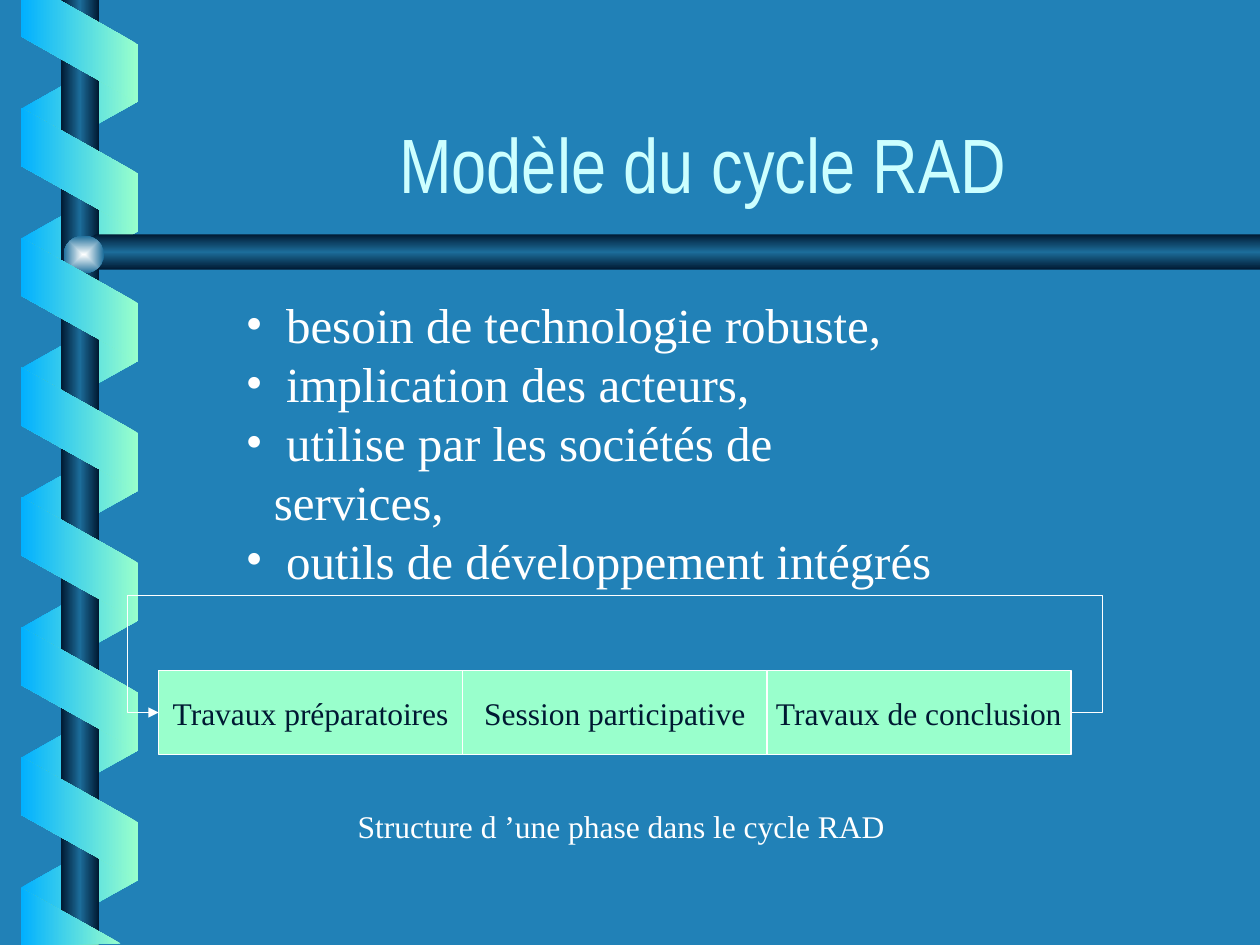
from typing import NamedTuple

from pptx import Presentation
from pptx.dml.color import RGBColor
from pptx.enum.shapes import MSO_SHAPE
from pptx.enum.text import MSO_ANCHOR, MSO_AUTO_SIZE, PP_ALIGN
from pptx.oxml import parse_xml
from pptx.oxml.ns import nsdecls, qn
from pptx.util import Inches, Pt

COLORS = {
    "background": "2181B7",
    "title": "CCFFFF",
    "text": "FFFFFF",
    "dark": "001932",
    "mint": "99FFCC",
    "azure": "01B0FF",
    "steel": "1C6D9A",
    "glow": "FEFFFF",
}
RIBBON = [(0, "mint"), (100, "azure")]
RIBBON_BACK = [(0, "azure"), (100, "mint")]
TUBE = [(0, "dark"), (50, "steel"), (100, "dark")]
LINEAR = '<a:lin ang="{}" scaled="0"/>'
CENTERED = '<a:path path="rect"><a:fillToRect l="50000" t="50000" r="50000" b="50000"/></a:path>'
SERIF = "Times New Roman"


class Box(NamedTuple):
    """A region in cells of a 100 by 75 grid."""

    left: float
    top: float
    width: float
    height: float


def cell(count):
    """Turn a number of grid cells into a length."""
    return Inches(count / 10)


def lengths(box):
    """Return the four lengths of a box."""
    return [cell(value) for value in box]


def rgb(name):
    """Look up a named colour."""
    return RGBColor.from_string(COLORS[name])


def paint_gradient(shape, stops, direction):
    """Fill a shape with an unrotated gradient and take its line away."""
    shape.shadow.inherit = False
    shape.line.fill.background()
    shape.fill.gradient()
    stop_xml = "".join(
        f'<a:gs pos="{share * 1000}"><a:srgbClr val="{COLORS[name]}"/></a:gs>'
        for share, name in stops
    )
    gradient = parse_xml(
        f'<a:gradFill {nsdecls("a")} rotWithShape="0">'
        f"<a:gsLst>{stop_xml}</a:gsLst>{direction}</a:gradFill>"
    )
    properties = shape._element.spPr
    properties.replace(properties.find(qn("a:gradFill")), gradient)


def add_path(page, box, points, close=True):
    """Draw a path through points given inside a box."""
    corners = [(cell(box.left + x), cell(box.top + y)) for x, y in points]
    builder = page.shapes.build_freeform(*corners[0], scale=1.0)
    builder.add_line_segments(corners[1:], close=close)
    shape = builder.convert_to_shape()
    shape.shadow.inherit = False
    return shape


def add_ribbons(page, box, pitch, count, stops, rotation, flipped):
    """Stack equally spaced ribbon turns downwards from a first box."""
    for index in range(count):
        turn = box._replace(top=box.top + index * pitch)
        shape = page.shapes.add_shape(MSO_SHAPE.PARALLELOGRAM, *lengths(turn))
        shape.adjustments[0] = 0.56
        shape.rotation = rotation
        if flipped:
            shape._element.spPr.xfrm.set("flipH", "1")
        paint_gradient(shape, stops, LINEAR.format(10800000))


def add_spiral(page, box):
    """Draw the pole, the crossbar and the ribbon wound around them."""
    pitch = 10.3
    first = Box(box.left, box.top + 3.7, 9.8, 9.3)
    add_ribbons(page, first, pitch, 7, RIBBON_BACK, 90, True)

    pole = page.shapes.add_shape(
        MSO_SHAPE.RECTANGLE, *lengths(Box(box.left + 3.45, box.top, 3, box.height))
    )
    paint_gradient(pole, TUBE, LINEAR.format(10800000))
    bar = Box(box.left + 4.6, box.top + 18.6, 94, 2.8)
    tip = [(94, 0), (1.6, 0), (0, 1.4), (1.6, 2.8), (94, 2.8)]
    paint_gradient(add_path(page, bar, tip), TUBE, LINEAR.format(5400000))
    ball = page.shapes.add_shape(
        MSO_SHAPE.OVAL, *lengths(Box(box.left + 3.65, box.top + 18.7, 3.2, 3))
    )
    paint_gradient(ball, [(0, "glow"), (100, "steel")], CENTERED)

    second = first._replace(top=box.top + 8.8)
    add_ribbons(page, second, pitch, 6, RIBBON, 270, False)
    top_end = [(0.3, 0), (0.3, 2.9), (9.5, 8.1), (9.5, 3.5), (3.3, 0)]
    bottom_end = [(8.2, 74.9), (0.3, 70.5), (0.3, 75)]
    for points in (top_end, bottom_end):
        paint_gradient(add_path(page, box, points), RIBBON, LINEAR.format(10800000))


def add_bullet(para, char, color, hang):
    """Give a paragraph a hanging bullet."""
    properties = para._p.get_or_add_pPr()
    properties.set("marL", str(cell(hang)))
    properties.set("indent", str(-cell(hang)))
    for markup in (
        f'<a:buClr {nsdecls("a")}><a:srgbClr val="{COLORS[color]}"/></a:buClr>',
        f'<a:buFont {nsdecls("a")} typeface="{SERIF}"/>',
        f'<a:buChar {nsdecls("a")} char="{char}"/>',
    ):
        properties.append(parse_xml(markup))


def write(frame, text, size=18, font=SERIF, color="text", align=PP_ALIGN.LEFT,
          anchor=MSO_ANCHOR.TOP, wrap=False, bullet=None, hang=0):
    """Fill a text frame, one paragraph for each line of text."""
    frame.word_wrap = wrap
    frame.vertical_anchor = anchor
    for index, line in enumerate(text.split("\n")):
        para = frame.add_paragraph() if index else frame.paragraphs[0]
        para.alignment = align
        if bullet:
            add_bullet(para, bullet, color, hang)
        span = para.add_run()
        span.text = line
        span.font.size = Pt(size)
        span.font.name = font
        span.font.color.rgb = rgb(color)


def add_text(page, box, text, **form):
    """Place a text box with formatted text."""
    frame = page.shapes.add_textbox(*lengths(box)).text_frame
    write(frame, text, **form)
    if not frame.word_wrap:
        frame.auto_size = MSO_AUTO_SIZE.SHAPE_TO_FIT_TEXT


def add_loop(page, box, reach, rise):
    """Lead an arrow from the right of a row over it back to its left."""
    middle = box.height / 2
    over, right = middle - rise, box.width + reach
    route = [(box.width, middle), (right, middle), (right, over),
             (-reach, over), (-reach, middle), (0, middle)]
    arrow = add_path(page, box, route, close=False)
    arrow.fill.background()
    arrow.line.color.rgb = rgb("text")
    arrow.line.width = Pt(0.75)
    arrow._element.spPr.find(qn("a:ln")).append(
        parse_xml(f'<a:tailEnd {nsdecls("a")} type="triangle"/>')
    )


def add_phase(page, box, steps):
    """Draw the steps of a phase side by side with the loop above them."""
    pitch = box.width / len(steps)
    for index, step in enumerate(steps):
        place = Box(box.left + index * pitch, box.top, pitch, box.height)
        shape = page.shapes.add_shape(MSO_SHAPE.RECTANGLE, *lengths(place))
        shape.shadow.inherit = False
        shape.fill.solid()
        shape.fill.fore_color.rgb = rgb("mint")
        shape.line.color.rgb = rgb("text")
        shape.line.width = Pt(0.75)
        write(shape.text_frame, step, color="dark", align=PP_ALIGN.CENTER,
              anchor=MSO_ANCHOR.MIDDLE)
    add_loop(page, box, reach=2.5, rise=9.3)


def main():
    """Build the slide and save the deck."""
    deck = Presentation()
    deck.slide_width, deck.slide_height = cell(100), cell(75)
    page = deck.slides.add_slide(deck.slide_layouts[6])
    page.background.fill.solid()
    page.background.fill.fore_color.rgb = rgb("background")

    add_spiral(page, Box(1.4, 0, 9.8, 75))
    add_text(page, Box(13.3, 4.6, 85, 12.5), "Modèle du cycle RAD", size=44,
             font="Arial Narrow", color="title", align=PP_ALIGN.CENTER,
             anchor=MSO_ANCHOR.BOTTOM, wrap=True)
    add_phase(page, Box(12.6, 53.2, 72.4, 6.7),
              ["Travaux préparatoires", "Session participative", "Travaux de conclusion"])
    add_text(page, Box(27.4, 63.6, 44, 4), "Structure d ’une phase dans le cycle RAD")
    points = [" besoin de technologie robuste,", " implication des acteurs,",
              " utilise par les sociétés de services,", " outils de développement intégrés"]
    add_text(page, Box(18.5, 22.9, 57.5, 24.4), "\n".join(points), size=28,
             wrap=True, bullet="•", hang=2.25)
    deck.save("out.pptx")


if __name__ == "__main__":
    main()
